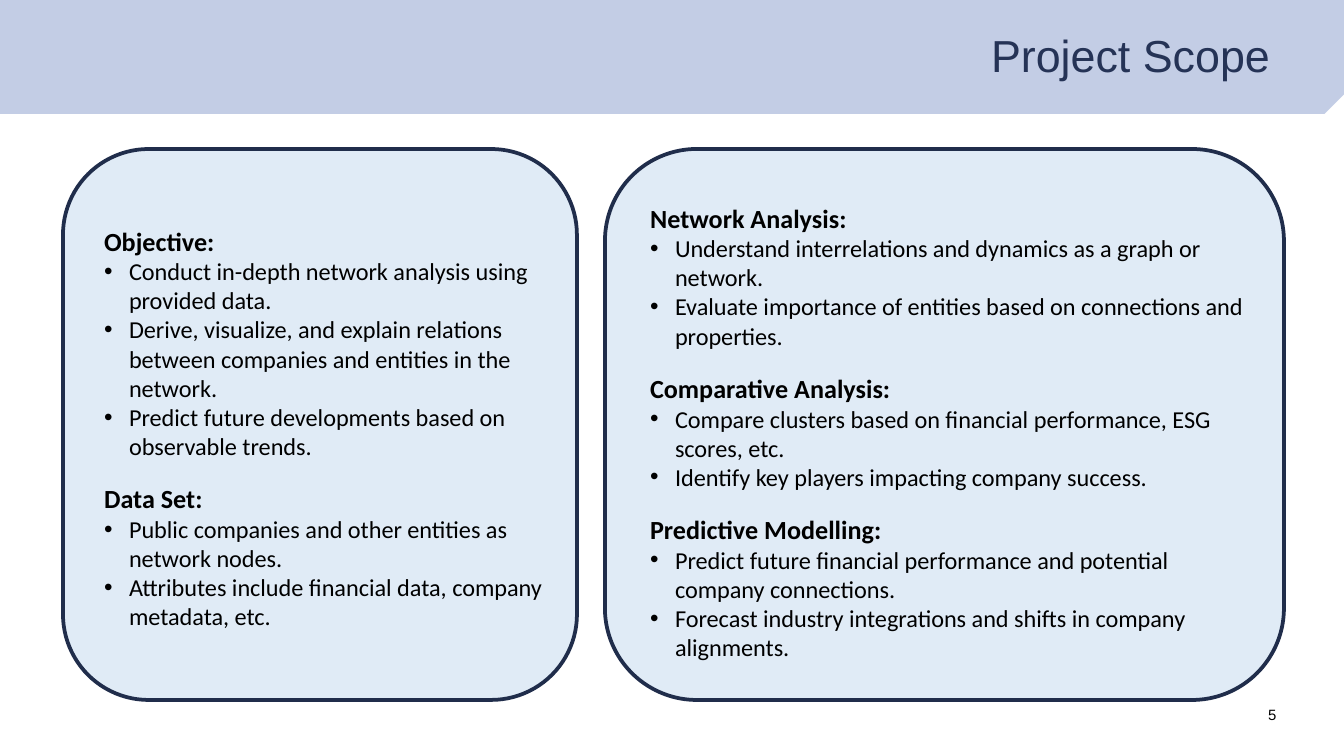
from lxml.etree import SubElement
from pptx import Presentation
from pptx.dml.color import RGBColor
from pptx.enum.shapes import MSO_SHAPE as Shape
from pptx.enum.text import MSO_ANCHOR as Anchor, MSO_AUTO_SIZE as Fit, PP_ALIGN as Align
from pptx.oxml.ns import qn
from pptx.util import Pt

PX = 914400 / 134.4
BAND = RGBColor(0xB5, 0xC1, 0xDF)
PANEL = RGBColor(0xE0, 0xEB, 0xF6)
EDGE = RGBColor(0x20, 0x2D, 0x4B)
NAVY = RGBColor(0x25, 0x33, 0x56)
BLACK = RGBColor(0, 0, 0)

TITLE = "Project Scope"
NUMBER = "5"
# Each panel: panel box, text box, top inset, sections
PANELS = [
    ((63, 149, 514, 551), (91, 195, 497, 446), 30, [
        ("Objective:", [
            "Conduct in-depth network analysis using provided data.",
            "Derive, visualize, and explain relations between companies and entities in the network.",
            "Predict future developments based on observable trends.",
        ]),
        ("Data Set:", [
            "Public companies and other entities as network nodes.",
            "Attributes include financial data, company metadata, etc.",
        ]),
    ]),
    ((605, 149, 679, 551), (637, 195, 630, 500), 7, [
        ("Network Analysis:", [
            "Understand interrelations and dynamics as a graph or network.",
            "Evaluate importance of entities based on connections and properties.",
        ]),
        ("Comparative Analysis:", [
            "Compare clusters based on financial performance, ESG scores, etc.",
            "Identify key players impacting company success.",
        ]),
        ("Predictive Modelling:", [
            "Predict future financial performance and potential company connections.",
            "Forecast industry integrations and shifts in company alignments.",
        ]),
    ]),
]


def emu(*sizes):
    return [round(size * PX) for size in sizes]


def place(shape, box):
    shape.left, shape.top, shape.width, shape.height = emu(*box)


def add_back(slide, kind, box, color, depth):
    """Add a filled shape behind the placeholders, at the given depth."""
    shape = slide.shapes.add_shape(kind, *emu(*box))
    shape.shadow.inherit = False
    shape.fill.solid()
    shape.fill.fore_color.rgb = color
    shape.line.fill.background()
    slide.shapes._spTree.insert(2 + depth, shape._element)
    return shape


def set_frame(frame, anchor, inset, top=None):
    frame.word_wrap = True
    frame.auto_size = Fit.NONE
    frame.vertical_anchor = anchor
    side, head = emu(inset, inset if top is None else top)
    frame.margin_left = frame.margin_right = side
    frame.margin_top = frame.margin_bottom = head


def style(para, name, size, color, bold=False):
    para.alignment = Align.LEFT
    for run in para.runs:
        font = run.font
        font.name, font.size, font.bold = name, Pt(size), bold
        font.color.rgb = color


def set_bullet(para, shown):
    props = para._p.get_or_add_pPr()
    indent = emu(25)[0] if shown else 0
    props.set("marL", str(indent))
    props.set("indent", str(-indent))
    if shown:
        tint = SubElement(props, qn("a:buClr"))
        SubElement(tint, qn("a:srgbClr"), val=str(BLACK))
        SubElement(props, qn("a:buFont"), typeface="Arial")
        SubElement(props, qn("a:buChar"), char="•")
    else:
        SubElement(props, qn("a:buNone"))


def write(frame, parts):
    rows = [row for head, points in parts
            for row in [(head, True)] + [(text, False) for text in points]]
    for i, (text, head) in enumerate(rows):
        para = frame.add_paragraph() if i else frame.paragraphs[0]
        para.text = text
        para.space_before = Pt(12 if head and i else 0)
        set_bullet(para, not head)
        style(para, "Calibri", 14 if head else 13, BLACK, head)


def main():
    deck = Presentation()
    deck.slide_width, deck.slide_height = emu(1344, 756)
    slide = deck.slides.add_slide(deck.slide_layouts[3])
    title, *bodies = slide.placeholders

    band = add_back(slide, Shape.SNIP_1_RECTANGLE, (-179, -4, 1523, 118), BAND, 0)
    band.rotation = 180
    band._element.spPr.find(qn("a:xfrm")).set("flipH", "1")
    tint = band._element.spPr.find(qn("a:solidFill"))[0]
    SubElement(tint, qn("a:alpha"), val="80000")

    place(title, (978, 28, 320, 67))
    title.text_frame.text = TITLE
    set_frame(title.text_frame, Anchor.BOTTOM, 13)
    style(title.text_frame.paragraphs[0], "Arial", 24, NAVY)

    for i, (body, (box, area, top, parts)) in enumerate(zip(bodies, PANELS)):
        panel = add_back(slide, Shape.ROUNDED_RECTANGLE, box, PANEL, i + 1)
        panel.line.color.rgb = EDGE
        panel.line.width = Pt(2)
        place(body, area)
        set_frame(body.text_frame, Anchor.TOP, 13, top)
        body.text_frame.margin_bottom = 0
        write(body.text_frame, parts)

    number = slide.shapes.add_textbox(*emu(1255, 686, 81, 58)).text_frame
    number.text = NUMBER
    set_frame(number, Anchor.MIDDLE, 13)
    style(number.paragraphs[0], "Arial", 8, BLACK)

    deck.save("out.pptx")


if __name__ == "__main__":
    main()
